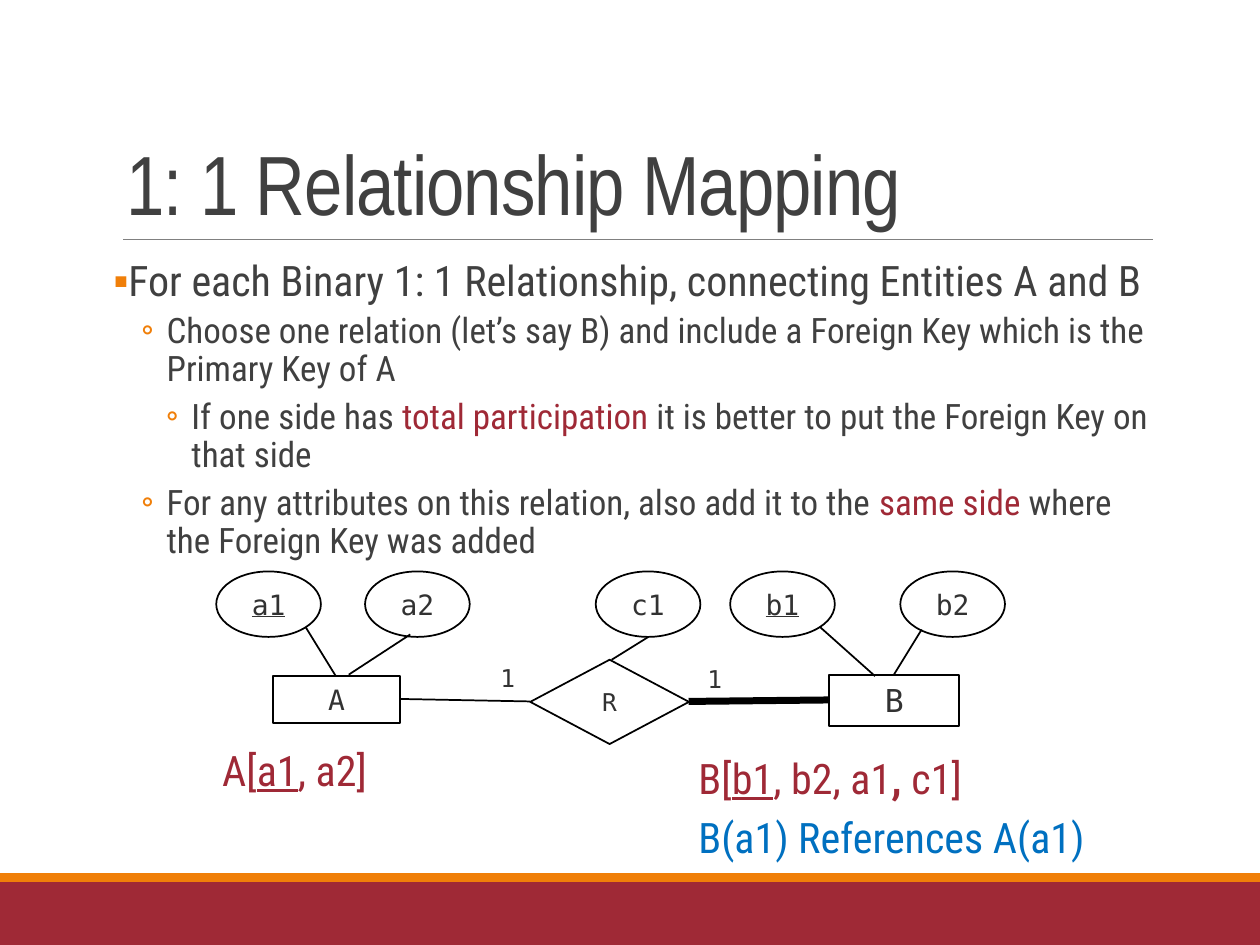
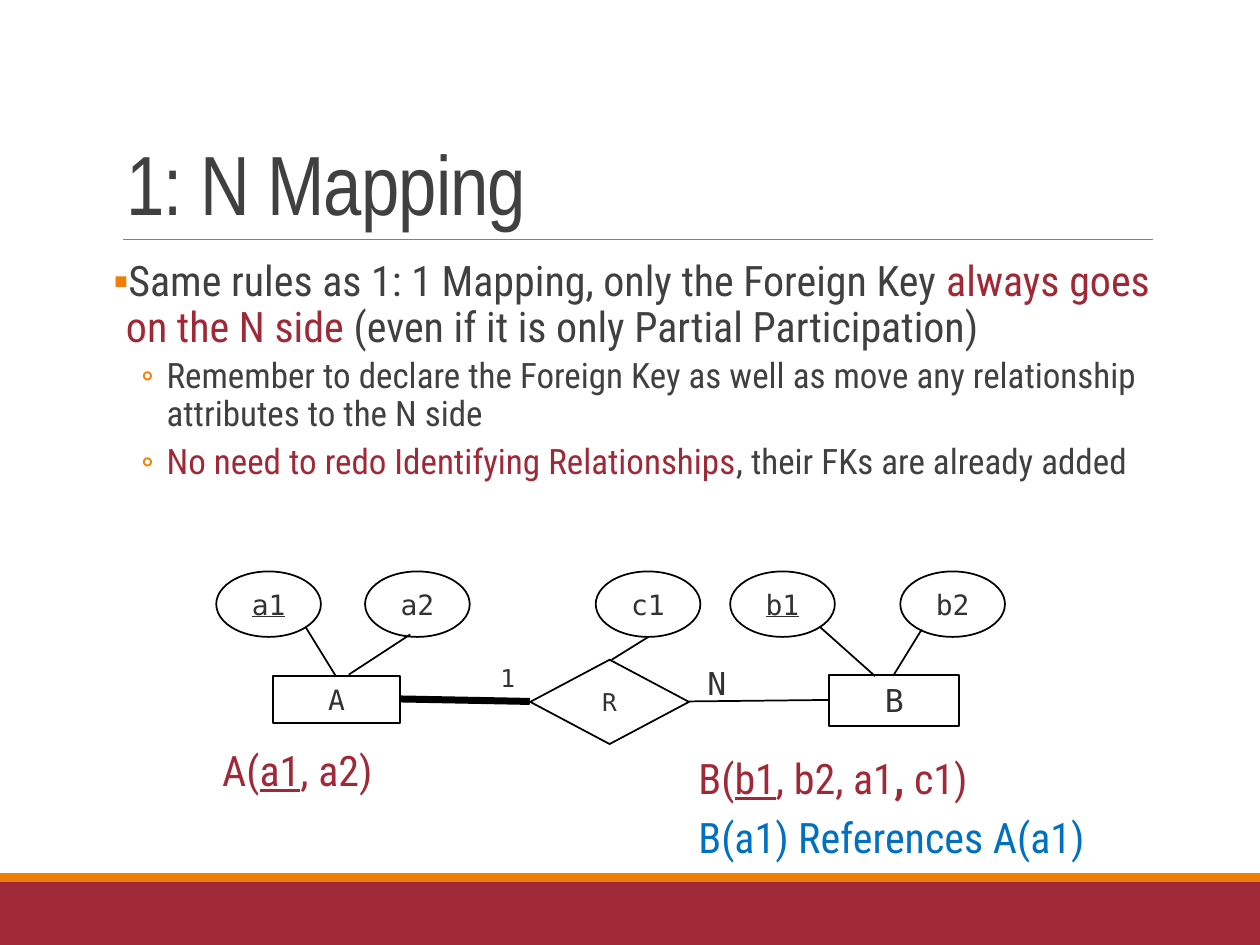
from dataclasses import dataclass
from typing import NamedTuple

from lxml.etree import SubElement
from pptx import Presentation
from pptx.dml.color import RGBColor
from pptx.enum.shapes import MSO_CONNECTOR, MSO_SHAPE
from pptx.enum.text import MSO_ANCHOR, PP_ALIGN
from pptx.oxml.ns import qn
from pptx.util import Cm, Pt


@dataclass(frozen=True)
class Theme:
    crimson: RGBColor = RGBColor(0x9F, 0x29, 0x36)
    orange: RGBColor = RGBColor(0xF0, 0x7F, 0x09)
    blue: RGBColor = RGBColor(0x00, 0x70, 0xC0)
    body_ink: RGBColor = RGBColor(0x40, 0x40, 0x40)
    diagram_ink: RGBColor = RGBColor(0x32, 0x32, 0x32)
    rule: RGBColor = RGBColor(0x80, 0x80, 0x80)
    black: RGBColor = RGBColor(0, 0, 0)
    white: RGBColor = RGBColor(0xFF, 0xFF, 0xFF)
    title_font: str = "Arial Narrow"
    body_font: str = "Roboto Condensed"
    diagram_font: str = "DejaVu Sans Mono"
    bullet_font: str = "Calibri"
    title_size: int = 48
    lead_size: int = 24
    detail_size: int = 20
    entity_b_size: int = 18
    node_size: int = 16
    small_size: int = 14
    thin: float = 1
    thick: float = 4


THEME = Theme()


class Box(NamedTuple):
    left: float
    top: float
    width: float
    height: float

    def place(self, left, top, width, height):
        """Return a box given relative to this one's corner."""
        return Box(self.left + left, self.top + top, width, height)

    def lengths(self):
        return [Cm(value) for value in self]


class Span(NamedTuple):
    text: str
    color: RGBColor = None
    underline: bool = False
    bold: bool = False


class Level(NamedTuple):
    bullet: str
    margin: float
    hang: float
    size: int
    before: int
    after: int


LEVELS = [
    Level("▪", 0.25, 0.25, THEME.lead_size, 12, 2),
    Level("◦", 1.07, 0.51, THEME.detail_size, 2, 4),
    Level("◦", 1.57, 0.51, THEME.detail_size, 2, 4),
]

PAGE = Box(0, 0, 25.4, 19.05)
TITLE = Box(2.3, 0.77, 20.96, 4.04)
BODY = Box(2.29, 5.13, 20.96, 11.18)
DIAGRAM = Box(4.36, 11.52, 15.9, 3.5)
SCHEMAS = Box(4.23, 14.88, 18.9, 2.6)

ATTRIBUTES = [("a1", 0), ("a2", 3), ("c1", 7.65), ("b1", 10.36), ("b2", 13.79)]
KEYS = {"a1", "b1"}
ATTRIBUTE_LINKS = [
    (1.8, 1.12, 2.41, 2.11),
    (3.91, 1.27, 2.67, 2.08),
    (8.71, 1.32, 7.97, 1.78),
    (12.17, 1.12, 13.28, 2.11),
    (14.22, 1.17, 13.66, 2.08),
]
ENTITY_LINKS = {"A": (3.71, 2.57, 6.32, 2.62), "B": (9.52, 2.62, 12.34, 2.59)}


def add_spans(paragraph, spans, font_name, size, color):
    for span in spans:
        run = paragraph.add_run()
        run.text = span.text
        font = run.font
        font.name, font.size = font_name, Pt(size)
        font.color.rgb = span.color or color
        font.underline, font.bold = span.underline, span.bold


def add_text_frame(slide, box, anchor=MSO_ANCHOR.TOP, wrap=True):
    frame = slide.shapes.add_textbox(*box.lengths()).text_frame
    frame.word_wrap = wrap
    frame.vertical_anchor = anchor
    return frame


def next_paragraph(frame, index):
    return frame.add_paragraph() if index else frame.paragraphs[0]


def set_hanging(paragraph, margin, hang):
    properties = paragraph._p.get_or_add_pPr()
    properties.set("marL", str(Cm(margin)))
    properties.set("indent", str(-Cm(hang)))
    return properties


def add_line(slide, origin, ends, color, weight):
    """Draw a line whose ends are relative to the origin box."""
    x1, y1, x2, y2 = ends
    line = slide.shapes.add_connector(
        MSO_CONNECTOR.STRAIGHT,
        Cm(origin.left + x1), Cm(origin.top + y1),
        Cm(origin.left + x2), Cm(origin.top + y2),
    )
    line.line.color.rgb = color
    line.line.width = Pt(weight)
    SubElement(line._element.spPr, qn("a:effectLst"))


def add_frame_parts(slide, page):
    for top, height, color in ((17.78, 1.27, THEME.crimson), (17.6, 0.18, THEME.orange)):
        band = slide.shapes.add_shape(
            MSO_SHAPE.RECTANGLE, *page.place(0, top, page.width, height).lengths()
        )
        band.shadow.inherit = False
        band.fill.solid()
        band.fill.fore_color.rgb = color
        band.line.fill.background()
    add_line(slide, page, (2.48, 4.83, 23.24, 4.83), THEME.rule, 0.5)


def add_title(slide, box, text):
    heading = add_text_frame(slide, box, MSO_ANCHOR.BOTTOM).paragraphs[0]
    heading.line_spacing = 0.85
    add_spans(heading, [Span(text)], THEME.title_font, THEME.title_size, THEME.body_ink)
    heading.runs[0]._r.get_or_add_rPr().set("spc", "-50")


def add_body(slide, box, points):
    frame = add_text_frame(slide, box)
    frame.margin_left = frame.margin_right = 0
    for index, (depth, spans) in enumerate(points):
        level = LEVELS[depth]
        point = next_paragraph(frame, index)
        point.level = depth
        properties = set_hanging(point, level.margin, level.hang)
        bullet_color = SubElement(properties, qn("a:buClr"))
        SubElement(bullet_color, qn("a:srgbClr")).set("val", str(THEME.orange))
        SubElement(properties, qn("a:buFont")).set("typeface", THEME.bullet_font)
        SubElement(properties, qn("a:buChar")).set("char", level.bullet)
        point.line_spacing = 0.9
        if index:
            point.space_before = Pt(level.before)
        point.space_after = Pt(level.after)
        add_spans(point, spans, THEME.body_font, level.size, THEME.body_ink)


def add_node(slide, preset, box, label, size=THEME.node_size, filled=False):
    node = slide.shapes.add_shape(preset, *box.lengths())
    node.shadow.inherit = False
    if filled:
        node.fill.solid()
        node.fill.fore_color.rgb = THEME.white
    else:
        node.fill.background()
    node.line.color.rgb = THEME.black
    node.line.width = Pt(THEME.thin)
    node.text_frame.vertical_anchor = MSO_ANCHOR.MIDDLE
    caption = node.text_frame.paragraphs[0]
    caption.alignment = PP_ALIGN.CENTER
    spans = [Span(label, underline=label in KEYS)]
    add_spans(caption, spans, THEME.diagram_font, size, THEME.diagram_ink)


def add_cardinality(slide, box, label, size):
    mark = add_text_frame(slide, box, wrap=False).paragraphs[0]
    mark.alignment = PP_ALIGN.CENTER
    add_spans(mark, [Span(label)], THEME.diagram_font, size, THEME.diagram_ink)


def add_er_diagram(slide, box, total_side, b_mark, b_mark_size):
    """Draw A - R - B; the side with total participation has a thick link."""
    for ends in ATTRIBUTE_LINKS:
        add_line(slide, box, ends, THEME.black, THEME.thin)
    for side, ends in ENTITY_LINKS.items():
        weight = THEME.thick if side == total_side else THEME.thin
        add_line(slide, box, ends, THEME.black, weight)
    for attribute, left in ATTRIBUTES:
        add_node(slide, MSO_SHAPE.OVAL, box.place(left, 0, 2.11, 1.32), attribute)
    add_node(slide, MSO_SHAPE.RECTANGLE, box.place(1.14, 2.11, 2.57, 0.94), "A")
    add_node(slide, MSO_SHAPE.RECTANGLE, box.place(12.36, 2.09, 2.62, 1.02), "B",
             THEME.entity_b_size)
    add_node(slide, MSO_SHAPE.DIAMOND, box.place(6.33, 1.78, 3.2, 1.7), "R",
             THEME.small_size, filled=True)
    add_cardinality(slide, box.place(5.48, 1.72, 0.79, 0.86), "1", THEME.small_size)
    add_cardinality(slide, box.place(9.65, 1.74, 0.79, 0.86), b_mark, b_mark_size)


def add_schema(slide, box, lines):
    frame = add_text_frame(slide, box)
    for index, spans in enumerate(lines):
        schema = next_paragraph(frame, index)
        set_hanging(schema, 0.97, 0.97)
        if index:
            schema.space_before = Pt(4.8)
        add_spans(schema, spans, THEME.body_font, THEME.lead_size, THEME.crimson)


def add_schemas(slide, box, brackets):
    opening, closing = brackets
    relation_a = [Span("A" + opening), Span("a1", underline=True), Span(", a2" + closing)]
    relation_b = [
        Span("B" + opening), Span("b1", underline=True), Span(", b2, a1"),
        Span(", ", bold=True), Span("c1" + closing),
    ]
    reference = [Span("B(a1) References A(a1)", THEME.blue)]
    add_schema(slide, box.place(0, 0, 6.96, 1.24), [relation_a])
    add_schema(slide, box.place(9.6, 0.16, 9.3, 1.24), [relation_b, reference])


def add_mapping_slide(deck, title, points, brackets, total_side, b_mark, b_mark_size):
    slide = deck.slides.add_slide(deck.slide_layouts[6])
    add_frame_parts(slide, PAGE)
    add_title(slide, TITLE, title)
    add_body(slide, BODY, points)
    add_er_diagram(slide, DIAGRAM, total_side, b_mark, b_mark_size)
    add_schemas(slide, SCHEMAS, brackets)


ONE_TO_ONE = [
    (0, [Span("For each Binary 1: 1 Relationship, connecting Entities A and B")]),
    (1, [Span("Choose one relation (let’s say B) and include a Foreign Key "
              "which is the Primary Key of A")]),
    (2, [Span("If one side has "), Span("total participation ", THEME.crimson),
         Span("it is better to put the Foreign Key on that side")]),
    (1, [Span("For any attributes on this relation, also add it to the "),
         Span("same side ", THEME.crimson), Span("where the Foreign Key was added")]),
]
ONE_TO_MANY = [
    (0, [Span("Same rules as 1: 1 Mapping, only the Foreign Key "),
         Span("always goes on the N side ", THEME.crimson),
         Span("(even if it is only Partial Participation)")]),
    (1, [Span("Remember to declare the Foreign Key as well as move any "
              "relationship attributes to the N side")]),
    (1, [Span("No need to redo Identifying Relationships", THEME.crimson),
         Span(", their FKs are already added")]),
]


def main():
    deck = Presentation()
    deck.slide_width, deck.slide_height = Cm(PAGE.width), Cm(PAGE.height)
    add_mapping_slide(deck, "1: 1 Relationship Mapping", ONE_TO_ONE, "[]",
                      "B", "1", THEME.small_size)
    add_mapping_slide(deck, "1: N Mapping", ONE_TO_MANY, "()",
                      "A", "N", THEME.entity_b_size)
    deck.save("out.pptx")


if __name__ == "__main__":
    main()
